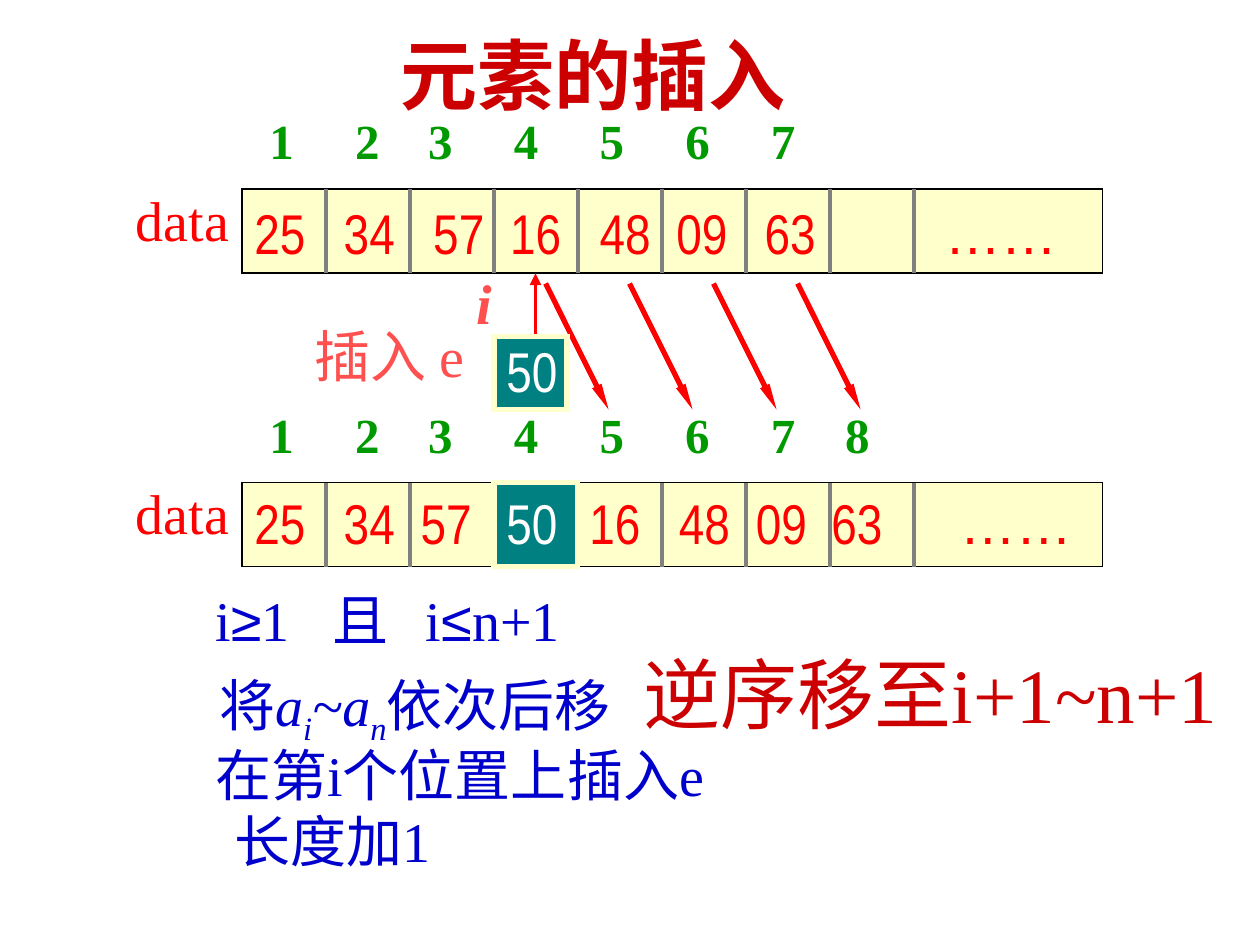
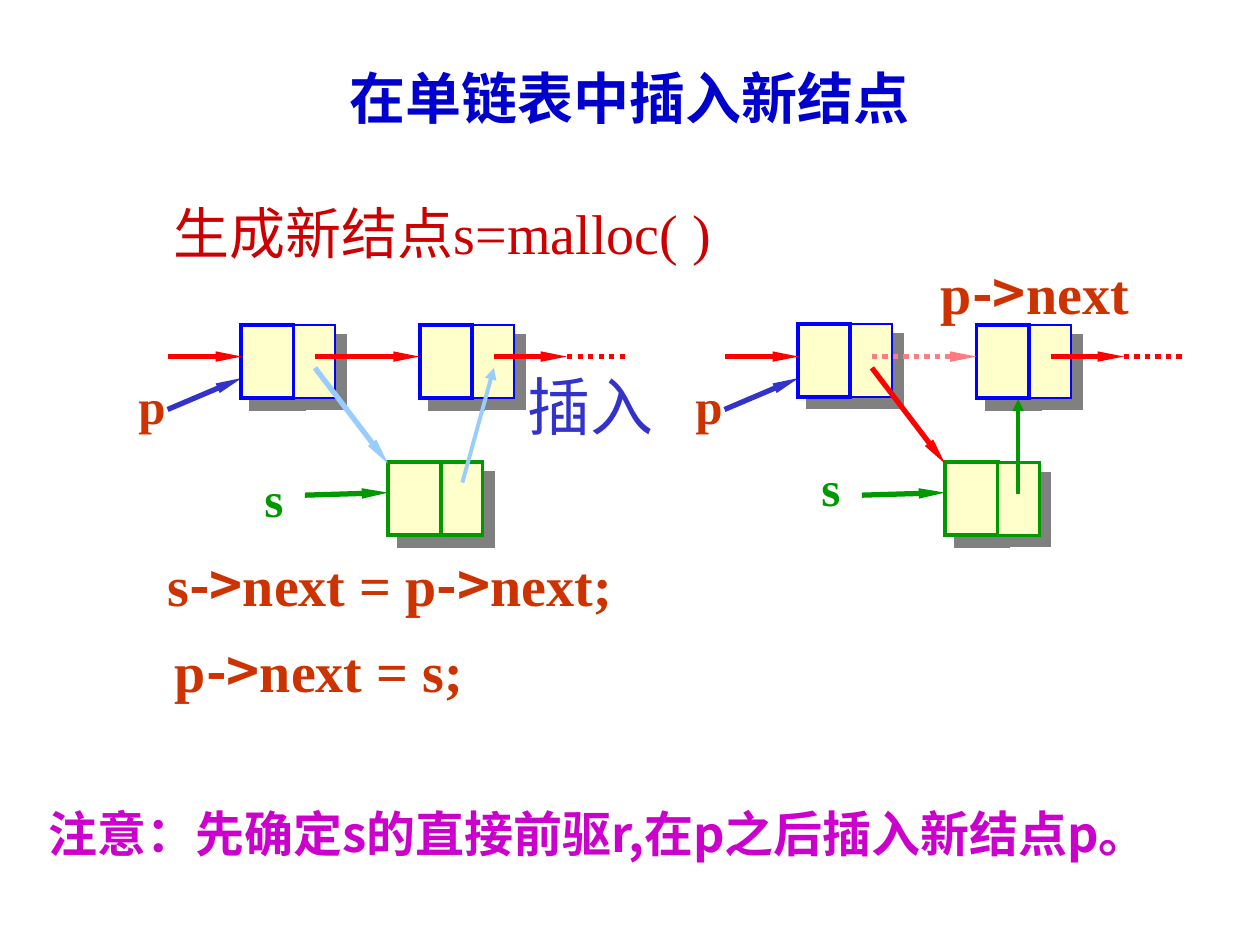
from lxml.etree import SubElement as Sub
from pptx import Presentation
from pptx.dml.color import RGBColor as Rgb
from pptx.enum.dml import MSO_LINE as Dash
from pptx.enum.shapes import MSO_CONNECTOR as Link, MSO_SHAPE as Shape
from pptx.enum.text import MSO_ANCHOR as Anchor, PP_ALIGN as Align
from pptx.oxml.ns import qn
from pptx.util import Inches, Pt

HUES = {
    "title": "CC0000", "value": "FF0000", "index": "009900", "body": "0000CC",
    "cell": "FFFFCC", "edge": "000000", "rule": "808080", "new": "008080",
    "white": "FFFFFF", "pink": "FF5050", "node": "0000FF", "code": "CC3300",
    "point": "3333CC", "faded": "FF7C80", "light": "99CCFF", "note": "CC00CC",
}
TIMES, ARIAL, NARROW, NOTO = (
    "Times New Roman", "Arial", "Arial Narrow", "Noto Sans CJK SC")
CELL = 2 / 3
ROW_LEFT = 1.92
INDEX_TABS = [0.68, 1.26, 1.94, 2.62, 3.3, 3.98, 4.57]
ARROW = ("->", {"name": NOTO})
DOTS = ("……", {"name": ARIAL})
SUBSCRIPT = {"italic": True, "base": "-25000"}


def hue(name):
    return Rgb.from_string(HUES[name])


def write(frame, parts, size, color, font=TIMES, bold=False, italic=False,
          align=Align.LEFT, tabs=()):
    """Fill the frame; parts are strings or (string, font overrides) pairs."""
    para = frame.paragraphs[0]
    para.alignment = align
    base = para.font
    base.size, base.name, base.bold, base.italic = Pt(size), font, bold, italic
    base.color.rgb = hue(color)
    for part in [parts] if isinstance(parts, str) else parts:
        words, extra = (part, {}) if isinstance(part, str) else part
        run = para.add_run()
        run.text = words
        if "name" in extra:
            run.font.name = extra["name"]
        if "italic" in extra:
            run.font.italic = extra["italic"]
        if "base" in extra:
            run.font._element.set("baseline", extra["base"])
    if tabs:
        props = para._p.get_or_add_pPr()
        stops = Sub(props, qn("a:tabLst"))
        for stop in tabs:
            Sub(stops, qn("a:tab"), pos=str(Inches(stop)), algn="l")
        props.insert(0, stops)
    return para


def label(slide, left, top, width, height, parts, size, color, **style):
    box = slide.shapes.add_textbox(*map(Inches, (left, top, width, height)))
    box.text_frame.word_wrap = bool(style.get("tabs"))
    return write(box.text_frame, parts, size, color, **style)


def block(slide, left, top, width, height, fill, edge, weight):
    rect = slide.shapes.add_shape(
        Shape.RECTANGLE, *map(Inches, (left, top, width, height)))
    rect.shadow.inherit = False
    rect.fill.solid()
    rect.fill.fore_color.rgb = hue(fill)
    rect.line.color.rgb = hue(edge)
    rect.line.width = Pt(weight)
    Sub(rect.line._get_or_add_ln(), qn("a:miter"), lim="800000")
    return rect


def line(slide, start, end, color, weight=3, arrow=True, dotted=False):
    """Draw a line; heavy ones get a long, slim arrowhead."""
    link = slide.shapes.add_connector(
        Link.STRAIGHT, *map(Inches, (*start, *end)))
    link.line.color.rgb = hue(color)
    link.line.width = Pt(weight)
    if dotted:
        link.line.dash_style = Dash.ROUND_DOT
    if arrow:
        slim = {"w": "sm", "len": "lg"} if weight == 3 else {}
        Sub(link.line._get_or_add_ln(), qn("a:tailEnd"), type="triangle",
            **slim)
    Sub(link._element.spPr, qn("a:effectLst"))


def array(slide, top, count):
    """Draw the data row with its dividers and index numbers."""
    block(slide, ROW_LEFT, top, 6.83, CELL, "cell", "edge", 0.75)
    for col in range(1, 9):
        x = ROW_LEFT + col * CELL
        line(slide, (x, top), (x, top + CELL), "rule", 2.25, arrow=False)
    label(slide, 2.04, top - 0.67, 0.59 * count + 0.35, 0.57,
          "\t".join(map(str, range(1, count + 1))), 28, "index", bold=True,
          tabs=INDEX_TABS[:count - 1])
    label(slide, 0.98, top - 0.08, 0.94, 0.64, "data", 32, "value")


def values(slide, left, top, width, parts, tabs):
    label(slide, left, top, width, 0.64, parts, 32, "value", font=NARROW,
          tabs=tabs)


def fresh(slide, top, size):
    """Draw the square that holds the inserted element."""
    rect = block(slide, 3.92, top, size, size, "new", "cell", 3)
    frame = rect.text_frame
    frame.margin_left, frame.margin_right = Inches(0.1), 0
    frame.margin_top, frame.margin_bottom = 0, Inches(0.04)
    frame.word_wrap = False
    frame.vertical_anchor = Anchor.MIDDLE
    write(frame, "50", 32, "white", font=NARROW)


def node(slide, left, top, edge, weight):
    """Draw a data cell and a pointer cell; weight is the latter's line."""
    for x, width, pen in ((left, 0.42, 2.25), (left + 0.42, 0.33, weight)):
        rect = block(slide, x, top, width, 0.58, "cell", edge, pen)
        shade = Sub(rect._element.spPr.find(qn("a:effectLst")),
                    qn("a:outerShdw"), blurRad="0", dist=str(Pt(8.5)),
                    dir="2700000", algn="ctr", rotWithShape="0")
        Sub(shade, qn("a:srgbClr"), val=HUES["rule"])


def chain(slide, left, top, label_top, weight, bypass):
    """Draw p's node, its successor and s; bypass shows the link p to s."""
    def link(x1, y1, x2, y2, color, **style):
        line(slide, (left + x1, y1), (left + x2, y2), color, **style)

    node(slide, left + 1.75, 3.67, "index", weight)
    link(1.09, 3.93, 1.75, 3.91, "index")
    label(slide, left + 0.67, label_top, 0.35, 0.57, "s", 28, "index",
          bold=True)
    link(0, 3.25, 0.59, 3, "point")
    label(slide, left - 0.33, 2.93, 0.41, 0.57, "p", 28, "code", bold=True,
          align=Align.CENTER)
    node(slide, left + 0.58, top, "node", 1.5)
    node(slide, left + 2, 2.58, "node", 1.5)
    link(0, 2.83, 0.59, 2.83, "value")
    link(1.17, 2.83, 2, 2.83, "faded" if bypass else "value", dotted=bypass)
    link(2.59, 2.83, 3.17, 2.83, "value")
    link(3.17, 2.83, 3.67, 2.83, "value", arrow=False, dotted=True)
    link(1.17, 2.92, 1.75, 3.68, "value" if bypass else "light")


def insert_item(slide):
    label(slide, 3.08, 0.17, 3.4, 0.84, "元素的插入", 44, "title", bold=True)
    array(slide, 1.5, 7)
    values(slide, 1.92, 1.53, 6.74, ["25\t34\t57\t16\t48\t09\t63\t", DOTS],
           [0.71, 1.42, 2.03, 2.74, 3.35, 4.05, 5.48])
    for col in range(4):
        x = 4.33 + col * CELL
        line(slide, (x, 2.25), (x + 0.5, 3.25), "value")
    line(slide, (4.25, 2.67), (4.25, 2.17), "value", 2.25)
    fresh(slide, 2.67, 0.58)
    label(slide, 2.4, 2.5, 1.7, 0.64, "插入 e", 32, "pink")
    label(slide, 3.68, 2.08, 0.32, 0.64, "i", 32, "pink", bold=True,
          italic=True)

    array(slide, 3.83, 8)
    fresh(slide, 3.83, CELL)
    values(slide, 1.92, 3.83, 2, "25\t34\t57", [0.71, 1.32])
    values(slide, 4.58, 3.83, 4.03, ["16\t48\t09\t63\t", DOTS],
           [0.71, 1.32, 1.92, 2.94])

    label(slide, 1.61, 4.6, 3.15, 0.64,
          ["i", ("≥", {"name": ARIAL}), "1\t且\ti", ("≤", {"name": ARIAL}),
           "n+1"], 32, "body", tabs=[0.93, 1.67])
    label(slide, 1.64, 5.27, 3.8, 0.71,
          ["将", ("a", {"italic": True}), ("i", SUBSCRIPT),
           ("~a", {"italic": True}), ("n", SUBSCRIPT), "依次后移"],
          32, "body")
    label(slide, 5.01, 5.08, 4.95, 0.84, "逆序移至i+1~n+1", 44, "title")
    label(slide, 1.61, 5.83, 4.6, 0.64, "在第i个位置上插入e", 32, "body")
    label(slide, 1.76, 6.35, 2.1, 0.64, "长度加1", 32, "body")


def insert_node(slide):
    title = label(slide, 0.67, 0.43, 8.65, 0.68, "在单链表中插入新结点", 32,
                  "body", font=NOTO, bold=True, align=Align.CENTER)
    title.line_spacing = 1.05
    label(slide, 1.28, 1.53, 4.9, 0.64,
          [("生成新结点", {"name": NOTO}), "s=malloc( )"], 32, "title")
    chain(slide, 1.33, 2.58, 3.67, 2.25, bypass=False)
    line(slide, (3.67, 3.83), (3.92, 2.92), "light", 2.25)
    label(slide, 4.09, 2.87, 1.3, 0.7, "插入", 36, "point")
    chain(slide, 5.75, 2.57, 3.58, 1.5, bypass=True)
    line(slide, (8.08, 3.92), (8.08, 3.17), "index", 2.25)
    for left, top, width, parts in (
            (7.37, 2, 1.9, ["p", ARROW, "next"]),
            (1.23, 4.32, 4, ["s", ARROW, "next = p", ARROW, "next;"]),
            (1.29, 5, 2.8, ["p", ARROW, "next = s;"])):
        label(slide, left, top, width, 0.64, parts, 32, "code", bold=True)
    label(slide, 0.29, 6.33, 9.88, 0.57,
          "注意：先确定s的直接前驱r,在p之后插入新结点p。", 28, "note",
          font=NOTO, bold=True)


def main():
    deck = Presentation()
    deck.slide_width, deck.slide_height = Inches(10), Inches(7.5)
    for draw in (insert_item, insert_node):
        draw(deck.slides.add_slide(deck.slide_layouts[6]))
    deck.save("out.pptx")


if __name__ == "__main__":
    main()
